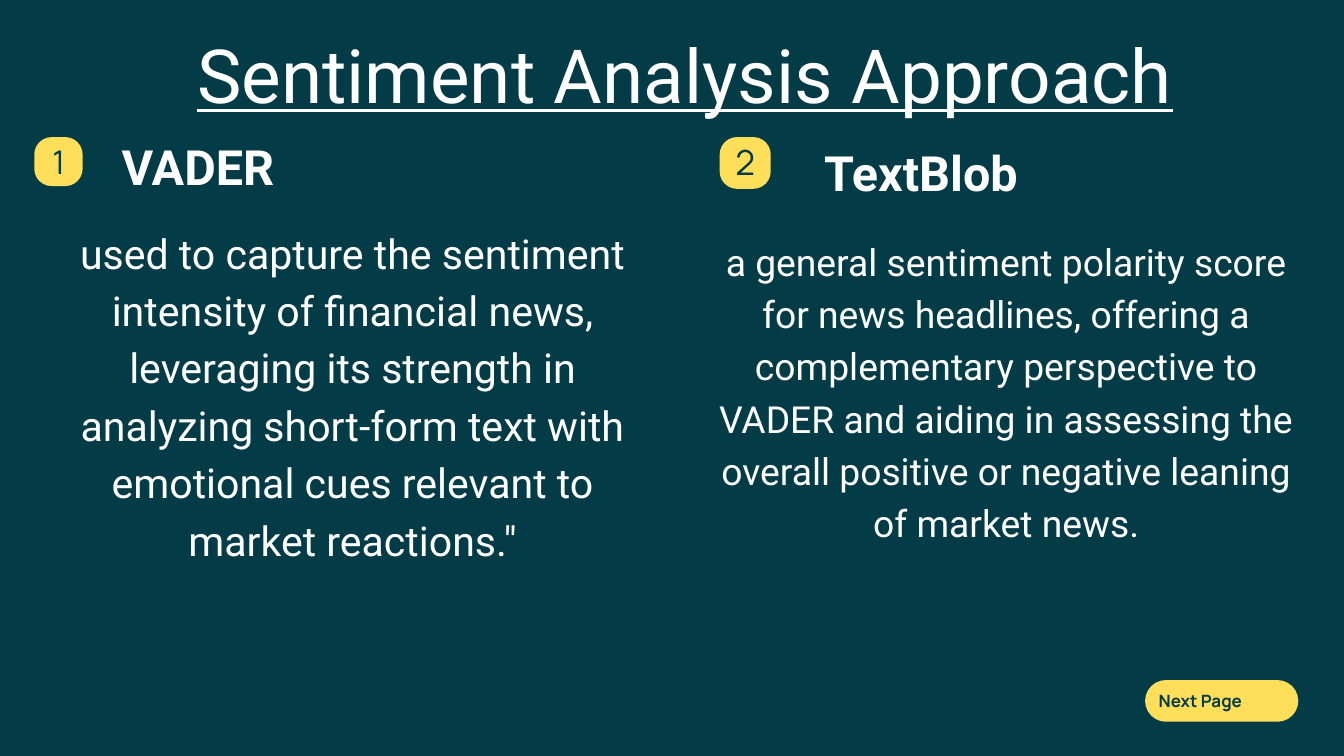
from pptx import Presentation
from pptx.dml.color import RGBColor
from pptx.enum.shapes import MSO_SHAPE as Shape
from pptx.enum.text import MSO_ANCHOR as Anchor, PP_ALIGN as Align
from pptx.util import Pt

PX = 9144  # 100 px to the inch
TEAL, YELLOW, WHITE = "033C47", "FFDE59", "FFFFFF"


def paint(fill, colour):
    fill.solid()
    fill.fore_color.rgb = RGBColor.from_string(colour)


def add_text(box, text, size, spacing, font="Roboto", colour=WHITE,
             align=Align.CENTER, bold=False, underline=False):
    frame = slide.shapes.add_textbox(*[n * PX for n in box]).text_frame
    frame.word_wrap = True
    frame.vertical_anchor = Anchor.TOP
    frame.margin_left = frame.margin_right = 0
    frame.margin_top = frame.margin_bottom = 0
    frame.text = text
    paragraph = frame.paragraphs[0]
    paragraph.alignment = align
    paragraph.line_spacing = Pt(spacing)
    run_font = paragraph.runs[0].font
    run_font.name = font
    run_font.size = Pt(size)
    run_font.bold = bold
    run_font.underline = underline
    run_font.color.rgb = RGBColor.from_string(colour)


deck = Presentation()
deck.slide_width, deck.slide_height = 2000 * PX, 1125 * PX
slide = deck.slides.add_slide(deck.slide_layouts[6])
paint(slide.background.fill, TEAL)

# Yellow plates: the button and the two number badges
plates = [
    ((1704, 1012, 228, 62), 0.5),
    ((51, 204, 72, 73), 0.36),
    ((1071, 204, 76, 77), 0.34),
]
for box, rounding in plates:
    plate = slide.shapes.add_shape(Shape.ROUNDED_RECTANGLE, *[n * PX for n in box])
    plate.adjustments[0] = rounding
    plate.shadow.inherit = False
    paint(plate.fill, YELLOW)
    plate.line.fill.background()

# Button label and title
add_text((1724, 1023, 152, 35), "Next Page", 18.2, 25.5, "Manrope", TEAL,
         Align.LEFT, bold=True)
add_text((174, 20, 1691, 150), "Sentiment Analysis Approach", 80, 112, underline=True)

# Badge numbers
add_text((45, 201, 85, 67), "1", 34.9, 48.8, "Manrope", TEAL)
add_text((1064, 200, 90, 73), "2", 37, 51.7, "Manrope", TEAL)

# Descriptions
add_text((114, 327, 822, 596),
         "used to capture the sentiment intensity of financial news, leveraging its "
         "strength in analyzing short-form text with emotional cues relevant to "
         'market reactions."', 44, 61.6)
add_text((1064, 345, 867, 536),
         "a general sentiment polarity score for news headlines, offering a "
         "complementary perspective to VADER and aiding in assessing the overall "
         "positive or negative leaning of market news.", 39.9, 55.9)

# Method names
add_text((153, 190, 283, 97), "VADER", 52, 72.8, bold=True)
add_text((1177, 199, 387, 97), "TextBlob", 52, 72.8, bold=True)

deck.save("out.pptx")
